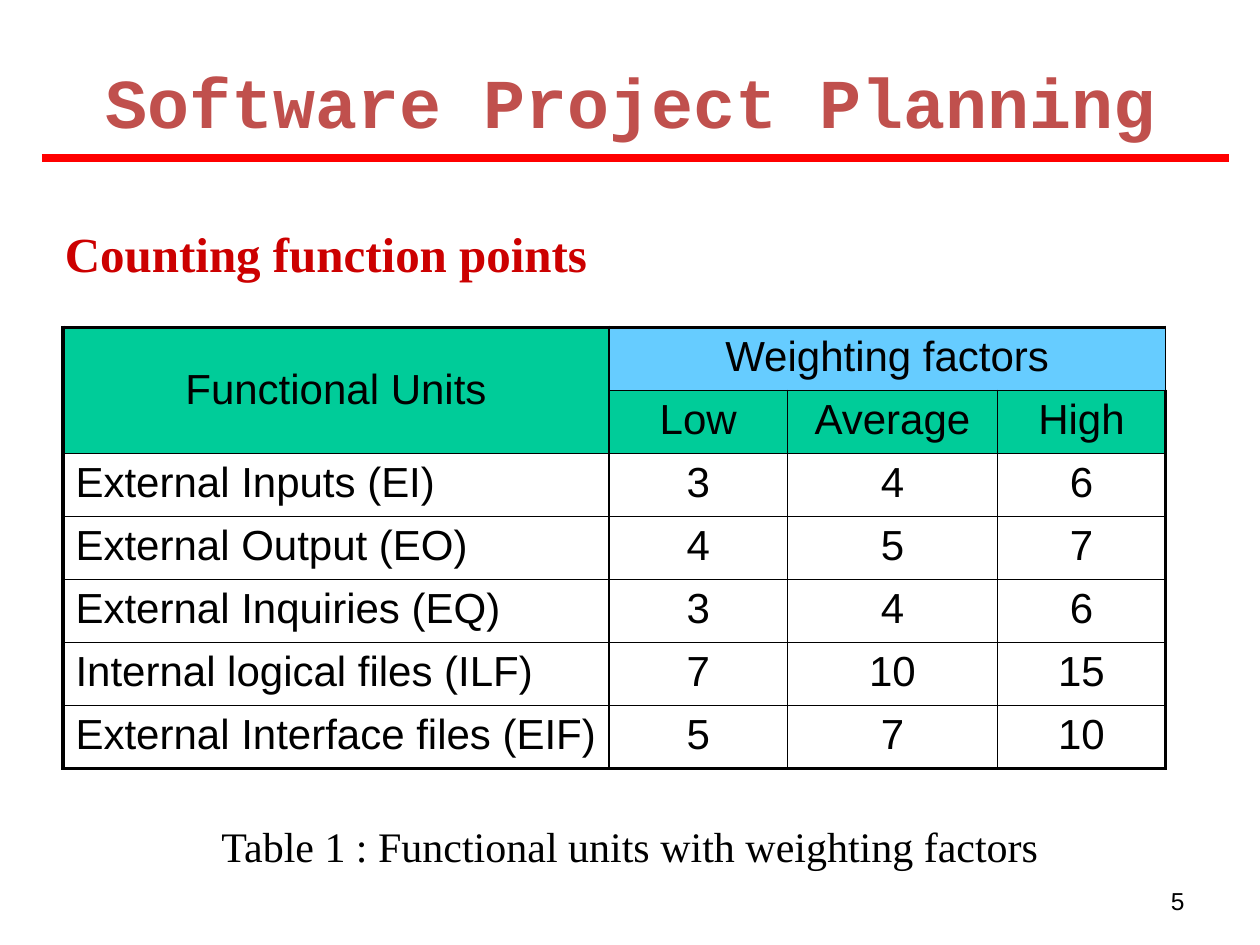
from dataclasses import dataclass

import lxml.etree
import pptx
import pptx.dml.color
import pptx.enum.shapes
import pptx.enum.text
import pptx.oxml.ns
import pptx.util

Pt = pptx.util.Pt
Align = pptx.enum.text.PP_ALIGN
Anchor = pptx.enum.text.MSO_ANCHOR
qn = pptx.oxml.ns.qn


@dataclass(frozen=True)
class Theme:
    black: str = "000000"
    title: str = "C0504D"
    head: str = "CC0000"
    rule: str = "FF0000"
    green: str = "00CC99"
    blue: str = "66CCFF"
    sans: str = "Arial"
    serif: str = "Times New Roman"
    mono: str = "Courier New"
    big: float = 40
    mid: float = 28
    base: float = 24
    small: float = 14
    thick: float = 2.25
    thin: float = 1


@dataclass(frozen=True)
class Box:
    left: float
    top: float
    width: float
    height: float

    def spots(self) -> tuple:
        return tuple(Pt(n) for n in (self.left, self.top, self.width, self.height))


@dataclass(frozen=True)
class Unit:
    name: str
    low: int
    mean: int
    high: int

    def texts(self) -> list[str]:
        return [self.name, str(self.low), str(self.mean), str(self.high)]


THEME = Theme()
COLS = (312, 102, 120, 96)
ROW = 36
HEADS = [
    ["Functional Units", "Weighting factors", "", ""],
    ["", "Low", "Average", "High"],
]
UNITS = [
    Unit("External Inputs (EI)", 3, 4, 6),
    Unit("External Output (EO)", 4, 5, 7),
    Unit("External Inquiries (EQ)", 3, 4, 6),
    Unit("Internal logical files (ILF)", 7, 10, 15),
    Unit("External Interface files (EIF)", 5, 7, 10),
]


def tint(code: str) -> pptx.dml.color.RGBColor:
    return pptx.dml.color.RGBColor.from_string(code)


def write(frame, text: str, *, font: str = THEME.sans, size: float = THEME.base,
          color: str = THEME.black, bold: bool = False, align=Align.CENTER) -> None:
    para = frame.paragraphs[0]
    para.alignment = align
    run = para.add_run()
    run.text = text
    run.font.name = font
    run.font.size = Pt(size)
    run.font.bold = bold
    run.font.color.rgb = tint(color)


def label(shape, box: Box, text: str, *, drop: float = 0, anchor=Anchor.TOP, **style) -> None:
    shape.left, shape.top, shape.width, shape.height = box.spots()
    frame = shape.text_frame
    frame.word_wrap = True
    frame.auto_size = pptx.enum.text.MSO_AUTO_SIZE.NONE
    frame.vertical_anchor = anchor
    frame.margin_top = Pt(3.6 + drop)
    write(frame, text, **style)


def note(slide, box: Box, text: str, **style) -> None:
    label(slide.shapes.add_textbox(*box.spots()), box, text, **style)


def edge(cell, side: str, width: float) -> None:
    props = cell._tc.get_or_add_tcPr()
    line = lxml.etree.SubElement(props, qn(f"a:ln{side}"), w=str(Pt(width)))
    fill = lxml.etree.SubElement(line, qn("a:solidFill"))
    lxml.etree.SubElement(fill, qn("a:srgbClr"), val=THEME.black)


def shade(cell, row: int, col: int) -> None:
    if row > 1:
        cell.fill.background()
        return
    cell.fill.solid()
    cell.fill.fore_color.rgb = tint(THEME.blue if row == 0 and col else THEME.green)


def chart(slide, left: float, top: float) -> None:
    rows = HEADS + [unit.texts() for unit in UNITS]
    box = Box(left, top, sum(COLS), ROW * len(rows))
    table = slide.shapes.add_table(len(rows), len(COLS), *box.spots()).table
    table.first_row = table.horz_banding = False
    for col, width in zip(table.columns, COLS):
        col.width = Pt(width)
    for row in table.rows:
        row.height = Pt(ROW)
    table.cell(0, 0).merge(table.cell(1, 0))
    table.cell(0, 1).merge(table.cell(0, 3))
    for y, texts in enumerate(rows):
        for x, text in enumerate(texts):
            cell = table.cell(y, x)
            outer = {"L": x == 0, "R": x == len(COLS) - 1,
                     "T": y == 0, "B": y == len(rows) - 1}
            for side, out in outer.items():
                edge(cell, side, THEME.thick if out else THEME.thin)
            shade(cell, y, x)
            if text:
                name = x == 0 and y > 1
                write(cell.text_frame, text, align=Align.LEFT if name else Align.CENTER)
    table.cell(0, 0).vertical_anchor = Anchor.MIDDLE


def rule(slide, left: float, right: float, top: float) -> None:
    line = slide.shapes.add_connector(
        pptx.enum.shapes.MSO_CONNECTOR.STRAIGHT, Pt(left), Pt(top), Pt(right), Pt(top))
    line.line.color.rgb = tint(THEME.rule)
    line.line.width = Pt(4.5)
    lxml.etree.SubElement(line._element.spPr, qn("a:effectLst"))


def main() -> None:
    deck = pptx.Presentation()
    deck.slide_width, deck.slide_height = Pt(720), Pt(540)
    slide = deck.slides.add_slide(deck.slide_layouts[5])
    label(slide.shapes.title, Box(24, 23, 672, 55.5), "Software Project Planning",
          drop=7, font=THEME.mono, size=THEME.big, color=THEME.title, bold=True)
    rule(slide, 24, 702, 90.5)
    note(slide, Box(30, 121, 660, 41), "Counting function points", drop=3,
         font=THEME.serif, size=THEME.mid, color=THEME.head, bold=True, align=Align.JUSTIFY)
    chart(slide, 36, 187)
    note(slide, Box(30, 462, 660, 36), "Table 1 : Functional units with weighting factors",
         drop=3, font=THEME.serif)
    note(slide, Box(516, 500.5, 168, 28.5), "5", anchor=Anchor.MIDDLE,
         size=THEME.small, align=Align.RIGHT)
    deck.save("out.pptx")


if __name__ == "__main__":
    main()
